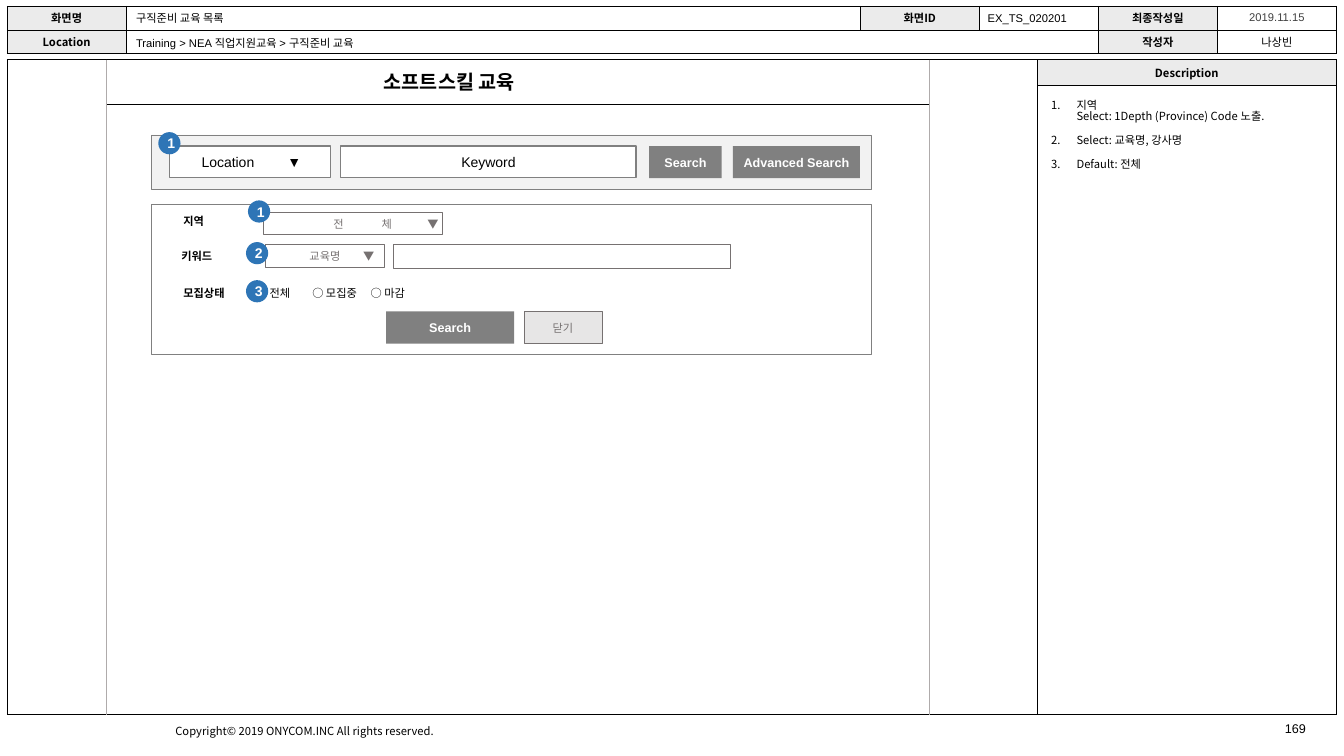
from dataclasses import dataclass

from lxml import etree
from pptx import Presentation
from pptx.dml.color import RGBColor
from pptx.enum.shapes import MSO_CONNECTOR, MSO_SHAPE
from pptx.enum.text import MSO_ANCHOR, MSO_AUTO_SIZE, PP_ALIGN
from pptx.oxml.ns import qn
from pptx.util import Cm, Pt

RECTANGLE, OVAL = MSO_SHAPE.RECTANGLE, MSO_SHAPE.OVAL
STRAIGHT = MSO_CONNECTOR.STRAIGHT
LEFT, CENTER = PP_ALIGN.LEFT, PP_ALIGN.CENTER
TOP, MIDDLE = MSO_ANCHOR.TOP, MSO_ANCHOR.MIDDLE
NO_FIT = MSO_AUTO_SIZE.NONE


@dataclass(frozen=True)
class Theme:
    latin: str = "Arial"
    korean: str = "Noto Sans CJK KR"
    black: str = "000000"
    white: str = "FFFFFF"
    heading_fill: str = "EBEBEB"
    panel: str = "F2F2F2"
    pale: str = "E7E6E6"
    gray: str = "808080"
    muted: str = "767171"
    date: str = "404040"
    guide: str = "AFABAB"
    badge: str = "2E75B6"
    small: int = 8
    button: int = 9
    field: int = 10
    title: int = 14
    hairline: float = 0.25
    thin: float = 0.5
    medium: float = 0.75


THEME = Theme()


class Wireframe:
    def __init__(self, slide, theme):
        self.slide, self.theme = slide, theme

    def add_span(self, para, text, size=None, color=None, bold=False, font=None):
        span = para.add_run()
        span.text = text
        span.font.size = Pt(size or self.theme.small)
        span.font.bold = bold
        span.font.color.rgb = RGBColor.from_string(color or self.theme.black)
        span.font.name = font or self.theme.latin
        east_asian = etree.SubElement(span._r.get_or_add_rPr(), qn("a:ea"))
        east_asian.set("typeface", self.theme.korean)

    def set_tabs(self, para, stops):
        tabs = etree.SubElement(para._p.get_or_add_pPr(), qn("a:tabLst"))
        for stop in stops:
            etree.SubElement(tabs, qn("a:tab"), pos=str(Cm(stop)), algn="l")

    def text(self, left, top, width, height, text, wrap=True, tabs=(), **style):
        box = self.slide.shapes.add_textbox(Cm(left), Cm(top), Cm(width), Cm(height))
        box.text_frame.word_wrap = wrap
        para = box.text_frame.paragraphs[0]
        if tabs:
            self.set_tabs(para, tabs)
        self.add_span(para, text, **style)
        return para

    def shape(self, left, top, width, height, fill, line=None, weight=THEME.thin,
              text="", kind=RECTANGLE, indent=None, tabs=(), **style):
        shape = self.slide.shapes.add_shape(kind, Cm(left), Cm(top), Cm(width), Cm(height))
        shape.shadow.inherit = False
        shape.fill.solid()
        shape.fill.fore_color.rgb = RGBColor.from_string(fill)
        if line:
            shape.line.color.rgb = RGBColor.from_string(line)
            shape.line.width = Pt(weight)
        else:
            shape.line.fill.background()
        if not text:
            return
        frame = shape.text_frame
        frame.vertical_anchor = MIDDLE
        frame.margin_top = frame.margin_bottom = 0
        para = frame.paragraphs[0]
        para.alignment = CENTER
        if indent is not None:
            para.alignment = LEFT
            frame.margin_left, frame.margin_right = Cm(indent), 0
            self.set_tabs(para, tabs)
        self.add_span(para, text, **style)

    def button(self, left, top, width, text):
        self.shape(left, top, width, 0.81, self.theme.gray, text=text,
                   size=self.theme.button, color=self.theme.white, bold=True)

    def badge(self, left, top, number):
        self.shape(left, top, 0.56, 0.56, self.theme.badge, text=number, kind=OVAL,
                   size=self.theme.field, color=self.theme.white, bold=True)

    def line(self, start, end, color, weight):
        line = self.slide.shapes.add_connector(STRAIGHT, *map(Cm, start + end))
        line.line.color.rgb = RGBColor.from_string(color)
        line.line.width = Pt(weight)
        etree.SubElement(line._element.spPr, qn("a:effectLst"))

    def table(self, left, top, columns, rows, merge, entries):
        """entries maps (row, column) to (text, is heading, style)."""
        shape = self.slide.shapes.add_table(len(rows), len(columns), Cm(left), Cm(top),
                                            Cm(sum(columns)), Cm(sum(rows)))
        table = shape.table
        table.first_row = table.horz_banding = False
        for column, width in zip(table.columns, columns):
            column.width = Cm(width)
        for row, height in zip(table.rows, rows):
            row.height = Cm(height)
        for r in range(len(rows)):
            for c in range(len(columns)):
                self.cell(table.cell(r, c), *entries.get((r, c), ("", False, {})))
        table.cell(*merge[0]).merge(table.cell(*merge[1]))

    def cell(self, cell, text, heading, style):
        cell.vertical_anchor = MIDDLE
        cell.margin_left = cell.margin_right = Cm(0.1)
        cell.margin_top = cell.margin_bottom = Cm(0.03)
        cell.fill.solid()
        fill = self.theme.heading_fill if heading else self.theme.white
        cell.fill.fore_color.rgb = RGBColor.from_string(fill)
        para = cell.text_frame.paragraphs[0]
        if text:
            para.alignment = CENTER
            font = self.theme.korean if heading else self.theme.latin
            self.add_span(para, text, bold=heading, font=font, **style)
        else:
            etree.SubElement(para._p, qn("a:endParaRPr"), sz=str(self.theme.small * 100))
        properties = cell._tc.get_or_add_tcPr()
        for index, side in enumerate(("lnL", "lnR", "lnT", "lnB")):
            border = etree.Element(qn(f"a:{side}"), w=str(Pt(self.theme.hairline)))
            paint = etree.SubElement(border, qn("a:solidFill"))
            etree.SubElement(paint, qn("a:srgbClr"), val=self.theme.black)
            properties.insert(index, border)

    def placeholder(self, index, left, top, width, height):
        holder = self.slide.placeholders[index]
        holder.left, holder.top, holder.width, holder.height = map(
            Cm, (left, top, width, height))
        frame = holder.text_frame
        frame.word_wrap, frame.auto_size, frame.vertical_anchor = True, NO_FIT, TOP
        self.slide.shapes._spTree.append(holder._element)  # bring to front
        return frame

    def title(self, text, *place):
        para = self.placeholder(0, *place).paragraphs[0]
        para.alignment = LEFT
        self.add_span(para, text, size=self.theme.title, bold=True)

    def numbered_list(self, items, *place):
        frame = self.placeholder(1, *place)
        frame.margin_left = Cm(0.2)
        frame.margin_top = frame.margin_right = frame.margin_bottom = Cm(0.1)
        for index, lines in enumerate(items):
            para = frame.add_paragraph() if index else frame.paragraphs[0]
            properties = para._p.get_or_add_pPr()
            properties.set("marL", str(Cm(0.64)))
            properties.set("indent", str(-Cm(0.64)))
            etree.SubElement(properties, qn("a:buFont"), typeface=self.theme.korean)
            etree.SubElement(properties, qn("a:buAutoNum"), type="arabicPeriod")
            para.line_spacing = 0.8
            para.space_before = Pt(9.5 if index else 0)
            for number, line in enumerate(lines):
                if number:
                    para.add_line_break()
                self.add_span(para, line, font=self.theme.korean)


def main():
    deck = Presentation()
    deck.slide_width, deck.slide_height = Cm(33.87), Cm(19.05)
    page = Wireframe(deck.slides.add_slide(deck.slide_layouts[1]), THEME)

    # Page frame, header table and footer
    page.text(4.17, 18.14, 7.29, 0.61, "Copyright© 2019 ONYCOM.INC All rights reserved.",
              wrap=False, font=THEME.korean)
    page.table(0.18, 1.5, [25.96, 7.54], [0.64, 15.85], ((0, 0), (1, 0)),
               {(0, 1): ("Description", True, {})})
    page.table(0.18, 0.15, [3, 18.5, 3, 3, 3, 3], [0.6, 0.6], ((1, 1), (1, 3)), {
        (0, 0): ("화면명", True, {}), (0, 2): ("화면ID", True, {}),
        (0, 4): ("최종작성일", True, {}),
        (0, 5): ("2019.11.15", False, {"color": THEME.date}),
        (1, 0): ("Location", True, {}), (1, 4): ("작성자", True, {}),
        (1, 5): ("나상빈", False, {})})
    page.line((2.67, 2.62), (23.42, 2.62), THEME.black, THEME.hairline)
    for guide in (2.67, 23.42):
        page.line((guide, 1.5), (guide, 18.01), THEME.guide, THEME.thin)
    page.text(32.13, 18.03, 1.42, 1.02, "169", size=THEME.button)
    page.text(3.18, 0.15, 9.68, 0.61, "구직준비 교육 목록")
    page.text(24.64, 0.15, 3.02, 0.61, "EX_TS_020201")
    page.text(3.18, 0.79, 9.68, 0.61, "Training > NEA 직업지원교육 > 구직준비 교육")

    # Quick search bar
    page.shape(3.81, 3.4, 18.14, 1.37, THEME.panel, THEME.gray, THEME.hairline)
    page.shape(4.27, 3.68, 4.06, 0.79, THEME.white, THEME.gray, THEME.medium,
               "Location\t▼", indent=0.81, tabs=[2.16], size=THEME.field)
    page.shape(8.59, 3.68, 7.44, 0.79, THEME.white, THEME.gray, THEME.medium,
               "Keyword", size=THEME.field)
    page.button(16.36, 3.68, 1.83, "Search")
    page.button(18.47, 3.68, 3.2, "Advanced Search")

    # Advanced search form
    page.shape(3.81, 5.16, 18.14, 3.78, THEME.white, THEME.gray)
    page.text(4.37, 5.28, 1.65, 0.61, "지역", bold=True)
    page.text(4.32, 6.17, 1.65, 0.61, "키워드", bold=True)
    status = page.text(4.37, 7.09, 7.62, 0.61, "모집상태", tabs=[1.83, 3.25, 4.72], bold=True)
    for choice in ("◎ 전체", "○ 모집중", "○ 마감"):
        page.add_span(status, "\t" + choice)
    page.shape(6.65, 5.36, 4.5, 0.56, THEME.white, THEME.muted, text="전\t체\t▼",
               indent=1.75, tabs=[1.22, 2.37], color=THEME.muted, font=THEME.korean)
    page.shape(6.68, 6.17, 3, 0.58, THEME.white, THEME.muted, text="교육명\t▼",
               indent=1.12, tabs=[1.35], color=THEME.muted)
    page.shape(9.91, 6.15, 8.51, 0.61, THEME.white, THEME.muted)
    page.button(9.73, 7.85, 3.23, "Search")
    page.shape(13.21, 7.85, 1.96, 0.81, THEME.pale, THEME.muted, text="닫기",
               color=THEME.muted)

    # Numbered markers
    for left, top, number in ((3.99, 3.33, "1"), (6.25, 5.05, "1"),
                              (6.2, 6.1, "2"), (6.2, 7.06, "3")):
        page.badge(left, top, number)

    # Title and description list
    page.title("소프트스킬 교육", 9.42, 1.63, 7.06, 0.86)
    page.numbered_list([["지역", "Select: 1Depth (Province) Code 노출."],
                        ["Select: 교육명, 강사명"], ["Default: 전체"]],
                       26.29, 2.44, 7.24, 2.59)
    deck.save("out.pptx")


if __name__ == "__main__":
    main()
